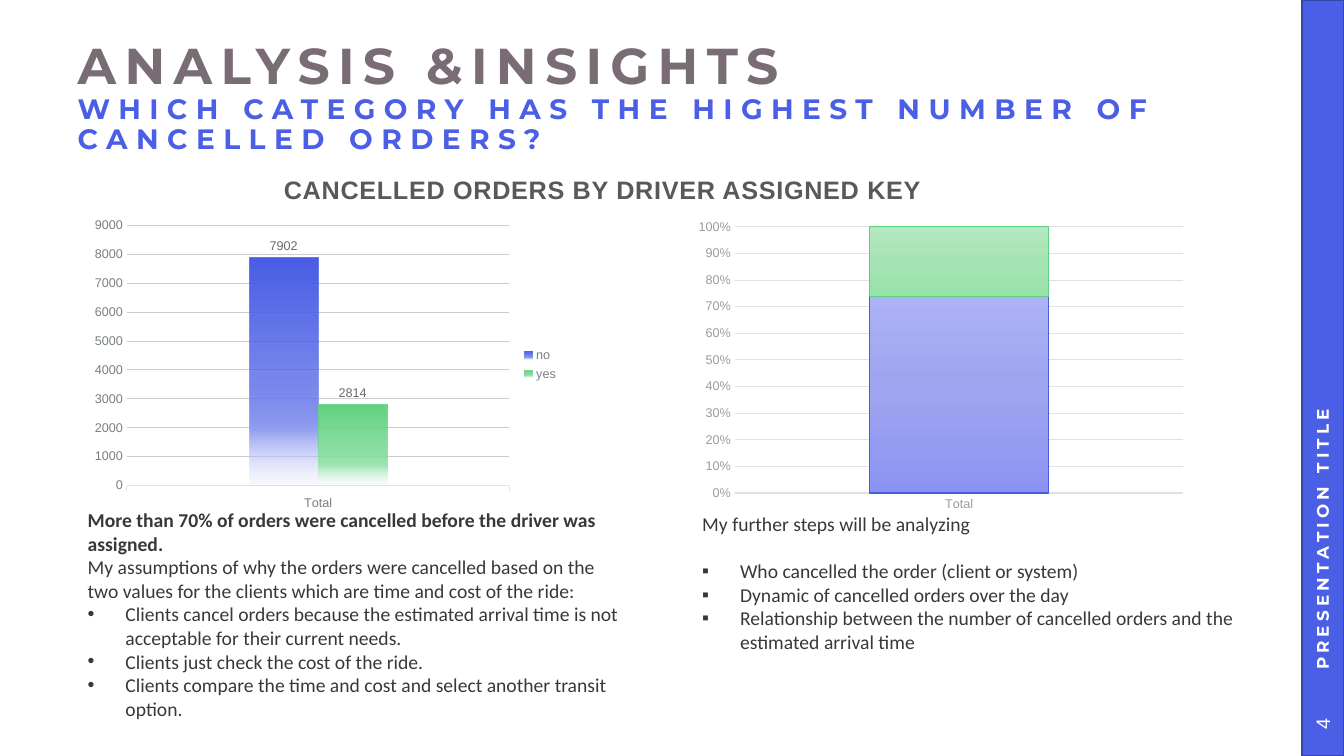
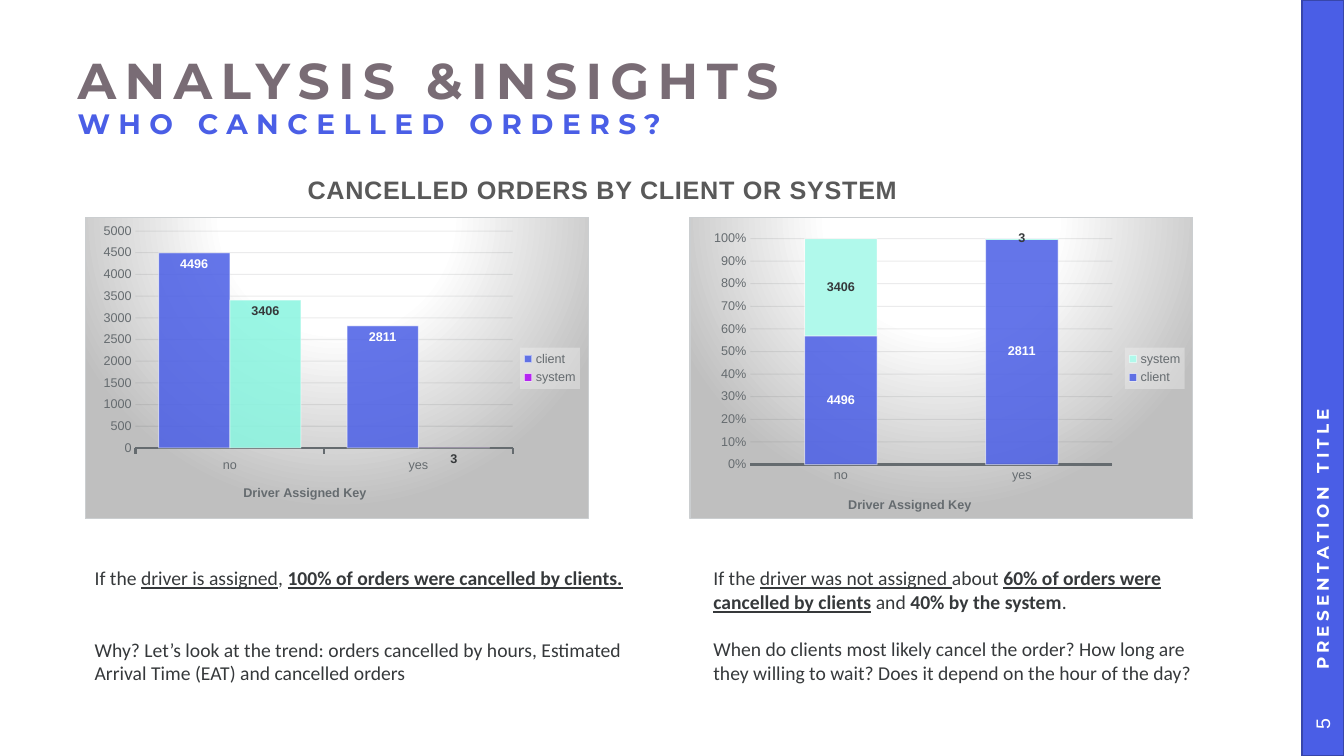
from pptx import Presentation, oxml
from pptx.chart.data import CategoryChartData
from pptx.dml.color import RGBColor
from pptx.enum import chart as ch, shapes, text
from pptx.oxml.ns import nsdecls, qn
from pptx.util import Pt

BLUE = RGBColor(0x4A, 0x5E, 0xE6)
BAND_EDGE = RGBColor(0x37, 0x46, 0xAA)
MAUVE = RGBColor(0x79, 0x6C, 0x75)
INK = RGBColor(0x36, 0x39, 0x3B)
HEADING = RGBColor(0x59, 0x59, 0x59)
WHITE = RGBColor(0xFF, 0xFF, 0xFF)
GREY = RGBColor(0x65, 0x6B, 0x6F)
MID_GREY = RGBColor(0x78, 0x7F, 0x84)
PALE_GREY = RGBColor(0x97, 0x9D, 0xA0)
RULE = RGBColor(0xE0, 0xE1, 0xE3)
GRID = RGBColor(0xCC, 0xCC, 0xCC)
DARK_GRID = RGBColor(0x3F, 0x43, 0x45)
PANEL = RGBColor(0xBF, 0xBF, 0xBF)
PANEL_EDGE = RGBColor(0xCB, 0xCE, 0xD0)
LEGEND = RGBColor(0xF2, 0xF2, 0xF2)
GREEN = RGBColor(0x62, 0xD3, 0x82)
MINT = RGBColor(0x89, 0xF5, 0xE0)
PALE_MINT = RGBColor(0xB0, 0xF9, 0xEB)
PURPLE = RGBColor(0xAF, 0x06, 0xF6)
BLUE_EDGE = RGBColor(0x48, 0x5C, 0xE1)
GREEN_EDGE = RGBColor(0x60, 0xCE, 0x7F)

NO_FADE = [(0, BLUE, 100), (51, BLUE, 75),
           (75, RGBColor(0x92, 0x9E, 0xF0), 100), (100, RGBColor(0xDB, 0xDF, 0xFA), 15)]
YES_FADE = [(0, GREEN, 100), (51, GREEN, 75),
            (75, RGBColor(0xA1, 0xE5, 0xB4), 100), (100, RGBColor(0xE0, 0xF6, 0xE6), 15)]
BLUE_SHEEN = [(0, RGBColor(0xAC, 0xB2, 0xF3), 100), (50, RGBColor(0x9D, 0xA4, 0xF0), 100),
              (100, RGBColor(0x8B, 0x94, 0xF2), 100)]
GREEN_SHEEN = [(0, RGBColor(0xB4, 0xE8, 0xC0), 100), (50, RGBColor(0xA6, 0xE3, 0xB4), 100),
               (100, RGBColor(0x96, 0xE2, 0xA9), 100)]
PANEL_GLOW = [(0, WHITE, 100), (39, WHITE, 100), (100, PANEL, 100)]
CLIENT = [(0, BLUE, 85)]

CLUSTERED = ch.XL_CHART_TYPE.COLUMN_CLUSTERED
STACKED = ch.XL_CHART_TYPE.COLUMN_STACKED_100
OUT_END = ch.XL_LABEL_POSITION.OUTSIDE_END
IN_END = ch.XL_LABEL_POSITION.INSIDE_END
CENTER = ch.XL_LABEL_POSITION.CENTER
TICK_OUT = ch.XL_TICK_MARK.OUTSIDE
TICK_NONE = ch.XL_TICK_MARK.NONE

WIDTH, HEIGHT = 960, 540
BAND_WIDTH = 30
WHITE_EDGE = (WHITE, 0.75, 50)
PANEL_STYLE = dict(panel=True, legend=True, color=GREY, axis=(GREY, 1.5),
                   grid=(DARK_GRID, 0.75, 10), axis_title="Driver Assigned Key",
                   cats=["no", "yes"])

SLIDES = [
    dict(
        number="4",
        question="WHICH CATEGORY HAS THE HIGHEST NUMBER OF CANCELLED ORDERS?",
        heading="CANCELLED ORDERS BY DRIVER ASSIGNED KEY",
        charts=[
            dict(kind=CLUSTERED, at=(55.5, 152.5, 350.5, 216), plot=(0.1, 0.04, 0.78, 0.86),
                 cats=["Total"], gap=355, top=9000, step=1000, tick=TICK_OUT, legend=True,
                 color=MID_GREY, axis=(RULE, 0.75), grid=(GRID, 0.75),
                 series=[dict(name="no", vals=[7902], fill=NO_FADE, label=(OUT_END, GREY, False)),
                         dict(name="yes", vals=[2814], fill=YES_FADE, label=(OUT_END, GREY, False))]),
            dict(kind=STACKED, at=(492.5, 153.5, 360, 216), plot=(0.09, 0.04, 0.89, 0.88),
                 cats=["Total"], gap=150, top=1, step=0.1, tick=TICK_NONE,
                 color=PALE_GREY, axis=(RULE, 0.75), grid=(RULE, 0.75),
                 series=[dict(name="Series 1", vals=[74], fill=BLUE_SHEEN, edge=(BLUE_EDGE, 0.75)),
                         dict(name="Series 2", vals=[26], fill=GREEN_SHEEN, edge=(GREEN_EDGE, 0.75))]),
        ],
        notes=[
            ((55.5, 359.5, 394, 160), [
                dict(runs=[("More than 70% of orders were cancelled before the driver was assigned.", "b")]),
                dict(runs=[("My assumptions of why the orders were cancelled based on the two values "
                            "for the clients which are time and cost of the ride:", "")]),
                dict(bullet="•", runs=[("Clients cancel orders because the estimated arrival time is not "
                                        "acceptable for their current needs.", "")]),
                dict(bullet="•", runs=[("Clients just check the cost of the ride.", "")]),
                dict(bullet="•", runs=[("Clients compare the time and cost and select another transit "
                                        "option.", "")]),
            ]),
            ((494.5, 362, 394, 131), [
                dict(runs=[("My further steps will be analyzing", "")]),
                dict(bullet="▪", before=17, runs=[("Who cancelled the order (client or system)", "")]),
                dict(bullet="▪", runs=[("Dynamic of cancelled orders over the day", "")]),
                dict(bullet="▪", runs=[("Relationship between the number of cancelled orders and the "
                                        "estimated arrival time", "")]),
            ]),
        ],
    ),
    dict(
        number="5",
        question="WHO CANCELLED ORDERS?",
        heading="CANCELLED ORDERS BY CLIENT OR SYSTEM",
        charts=[
            dict(PANEL_STYLE, kind=CLUSTERED, at=(60.5, 155, 360, 216),
                 plot=(0.1, 0.045, 0.75, 0.72), title_at=(0.31, 0.88),
                 gap=65, top=5000, step=500, tick=TICK_OUT,
                 series=[dict(name="client", vals=[4496, 2811], fill=CLIENT, edge=WHITE_EDGE,
                              label=(IN_END, WHITE, True)),
                         dict(name="system", vals=[3406, 3], fill=[(0, PURPLE, 85)], edge=WHITE_EDGE,
                              first=[(0, MINT, 85)], label=(IN_END, INK, True))]),
            dict(PANEL_STYLE, kind=STACKED, at=(492.5, 155, 360, 216),
                 plot=(0.12, 0.07, 0.72, 0.75), title_at=(0.31, 0.92),
                 gap=150, top=1, step=0.1, tick=TICK_NONE,
                 series=[dict(name="client", vals=[4496, 2811], fill=CLIENT, edge=WHITE_EDGE,
                              label=(CENTER, WHITE, True)),
                         dict(name="system", vals=[3406, 3], fill=[(0, PALE_MINT, 100)],
                              edge=WHITE_EDGE, label=(CENTER, INK, True))]),
        ],
        notes=[
            ((60.5, 401, 392, 92), [
                dict(runs=[("If the ", ""), ("driver is assigned", "u"), (", ", ""),
                           ("100% of orders were cancelled by clients.", "bu")]),
                dict(before=34, runs=[("Why? Let’s look at the trend: orders cancelled by hours, "
                                       "Estimated Arrival Time (EAT) and cancelled orders", "")]),
            ]),
            ((502.5, 401, 369, 92), [
                dict(runs=[("If the ", ""), ("driver was not assigned ", "u"), ("about ", ""),
                           ("60% of orders were cancelled by clients", "bu"), (" and ", ""),
                           ("40% by the system", "b"), (".", "")]),
                dict(before=17, runs=[("When do clients most likely cancel the order? How long are they "
                                       "willing to wait? Does it depend on the hour of the day?", "")]),
            ]),
        ],
    ),
]


def set_font(font, size, color, name="Arial", bold=False, spacing=0):
    font.size, font.name, font.bold = Pt(size), name, bold
    font.color.rgb = color
    if spacing:
        font._rPr.set("spc", str(spacing * 100))


def add_box(slide, at, anchor=text.MSO_ANCHOR.TOP, rotation=0):
    box = slide.shapes.add_textbox(*map(Pt, at))
    box.rotation = rotation
    frame = box.text_frame
    frame.word_wrap = True
    frame.vertical_anchor = anchor
    return frame


def add_line(slide, words, at, size, color, rotation=0, centred=True, **style):
    frame = add_box(slide, at, text.MSO_ANCHOR.MIDDLE if rotation else text.MSO_ANCHOR.TOP, rotation)
    line = frame.paragraphs[0]
    line.text = words
    if centred:
        line.alignment = text.PP_ALIGN.CENTER
    set_font(line.font, size, color, **style)
    return frame


def add_title(slide, question):
    frame = add_box(slide, (55.5, 27.5, 797, 85.5), text.MSO_ANCHOR.MIDDLE)
    frame.margin_left = frame.margin_right = frame.margin_top = frame.margin_bottom = 0
    lines = [("ANALYSIS &INSIGHTS", 36, MAUVE), (question, 20, BLUE)]
    for i, (words, size, color) in enumerate(lines):
        line = frame.add_paragraph() if i else frame.paragraphs[0]
        line.text = words
        line.line_spacing = 0.9
        set_font(line.font, size, color, "Montserrat", True, 6)


def add_band(slide, number):
    band = slide.shapes.add_shape(shapes.MSO_SHAPE.RECTANGLE, Pt(WIDTH - BAND_WIDTH), 0,
                                  Pt(BAND_WIDTH), Pt(HEIGHT))
    band.shadow.inherit = False
    band.fill.solid()
    band.fill.fore_color.rgb = BLUE
    band.line.color.rgb = BAND_EDGE
    band.line.width = Pt(1)
    footer = add_line(slide, "PRESENTATION TITLE", (697, 232.5, 495, BAND_WIDTH), 12, WHITE,
                      rotation=270, centred=False, name="Montserrat", bold=True, spacing=3)
    footer.margin_left = Pt(16.5)
    add_line(slide, number, (922, 502.5, 45, BAND_WIDTH), 14, WHITE, rotation=270)


def add_notes(slide, at, paragraphs):
    frame = add_box(slide, at)
    for i, content in enumerate(paragraphs):
        para = frame.add_paragraph() if i else frame.paragraphs[0]
        if "bullet" in content:
            props = para._p.get_or_add_pPr()
            props.set("marL", str(Pt(27)))
            props.set("indent", str(-Pt(27)))
            props.append(oxml.parse_xml(f'<a:buFont {nsdecls("a")} typeface="Arial"/>'))
            props.append(oxml.parse_xml(f'<a:buChar {nsdecls("a")} char="{content["bullet"]}"/>'))
        if "before" in content:
            para.space_before = Pt(content["before"])
        set_font(para.font, 14, INK, "Calibri")
        for words, marks in content["runs"]:
            run = para.add_run()
            run.text = words
            if "b" in marks:
                run.font.bold = True
            if "u" in marks:
                run.font.underline = True


def color_xml(color, alpha):
    return f'<a:srgbClr val="{color}"><a:alpha val="{alpha * 1000}"/></a:srgbClr>'


def fill_xml(stops, direction='<a:lin ang="5400000" scaled="0"/>'):
    if len(stops) == 1:
        return f'<a:solidFill {nsdecls("a")}>{color_xml(*stops[0][1:])}</a:solidFill>'
    marks = "".join(f'<a:gs pos="{pos * 1000}">{color_xml(color, alpha)}</a:gs>'
                    for pos, color, alpha in stops)
    return f'<a:gradFill {nsdecls("a")} rotWithShape="1"><a:gsLst>{marks}</a:gsLst>{direction}</a:gradFill>'


def set_back(parent, fill, edge=""):
    back = oxml.parse_xml(f'<c:spPr {nsdecls("c", "a")}>{fill}{edge}</c:spPr>')
    parent.find(qn("c:txPr")).addprevious(back)


def paint(element, stops):
    element.get_or_add_spPr().insert(0, oxml.parse_xml(fill_xml(stops)))


def outline(line, color, width, alpha=100):
    line.color.rgb = color
    line.width = Pt(width)
    if alpha < 100:
        tint = line._ln.find(".//" + qn("a:srgbClr"))
        tint.append(oxml.parse_xml(f'<a:alpha {nsdecls("a")} val="{alpha * 1000}"/>'))


def set_layout(parent, index, values, inner=False):
    for old in parent.findall(qn("c:layout")):
        parent.remove(old)
    target = '<c:layoutTarget val="inner"/>' if inner else ""
    modes = "".join(f'<c:{k}Mode val="edge"/>' for k in "xy")
    sizes = "".join(f'<c:{k} val="{v}"/>' for k, v in zip("xywh", values))
    parent.insert(index, oxml.parse_xml(
        f'<c:layout {nsdecls("c")}><c:manualLayout>{target}{modes}{sizes}</c:manualLayout></c:layout>'))


def add_chart(slide, info):
    data = CategoryChartData()
    data.categories = info["cats"]
    for entry in info["series"]:
        data.add_series(entry["name"], entry["vals"])
    chart = slide.shapes.add_chart(info["kind"], *map(Pt, info["at"]), data).chart
    chart.has_title = False
    set_font(chart.font, 10, INK)
    chart.has_legend = info.get("legend", False)
    if chart.has_legend:
        chart.legend.position = ch.XL_LEGEND_POSITION.RIGHT
        chart.legend.include_in_layout = False
        set_font(chart.legend.font, 9, info["color"])

    stacked = info["kind"] == STACKED
    columns = chart.plots[0]
    columns.vary_by_categories = False
    columns.gap_width = info["gap"]
    columns.overlap = 100 if stacked else 0

    cats, vals = chart.category_axis, chart.value_axis
    for axis in (cats, vals):
        set_font(axis.tick_labels.font, 9, info["color"])
        axis.minor_tick_mark = TICK_NONE
    cats.major_tick_mark, vals.major_tick_mark = info["tick"], TICK_NONE
    outline(cats.format.line, *info["axis"])
    vals.format.line.fill.background()
    vals.minimum_scale, vals.maximum_scale, vals.major_unit = 0, info["top"], info["step"]
    vals.tick_labels.number_format = "0%" if stacked else "General"
    vals.tick_labels.number_format_is_linked = False
    vals.has_major_gridlines = True
    outline(vals.major_gridlines.format.line, *info["grid"])
    if "axis_title" in info:
        caption = cats.axis_title.text_frame.paragraphs[0]
        caption.text = info["axis_title"]
        set_font(caption.font, 9, info["color"], bold=True)
        set_layout(cats.axis_title._element, 1, info["title_at"])

    for series, entry in zip(columns.series, info["series"]):
        if "edge" in entry:
            outline(series.format.line, *entry["edge"])
        paint(series._element, entry["fill"])
        if "first" in entry:
            point = series.points[0].format
            outline(point.line, *entry["edge"])
            paint(series._element.find(qn("c:dPt")), entry["first"])
        if "label" in entry:
            position, color, bold = entry["label"]
            labels = series.data_labels
            labels.show_value = True
            labels.position = position
            set_font(labels.font, 9, color, bold=bold)

    set_layout(chart._chartSpace.chart.plotArea, 0, info["plot"], inner=True)
    if info.get("panel"):
        glow = '<a:path path="circle"><a:fillToRect l="50000" t="-80000" r="50000" b="180000"/></a:path>'
        edge = f'<a:ln w="{Pt(0.75)}">{fill_xml([(0, PANEL_EDGE, 100)])}</a:ln>'
        set_back(chart._chartSpace, fill_xml(PANEL_GLOW, glow), edge)
        set_back(chart.legend._element, fill_xml([(0, LEGEND, 40)]))


def main():
    deck = Presentation()
    deck.slide_width, deck.slide_height = Pt(WIDTH), Pt(HEIGHT)
    for content in SLIDES:
        slide = deck.slides.add_slide(deck.slide_layouts[6])
        add_band(slide, content["number"])
        add_title(slide, content["question"])
        add_line(slide, content["heading"], (169, 121, 523, 29), 18, HEADING, bold=True, spacing=0.5)
        for info in content["charts"]:
            add_chart(slide, info)
        for at, paragraphs in content["notes"]:
            add_notes(slide, at, paragraphs)
    deck.save("out.pptx")


if __name__ == "__main__":
    main()
